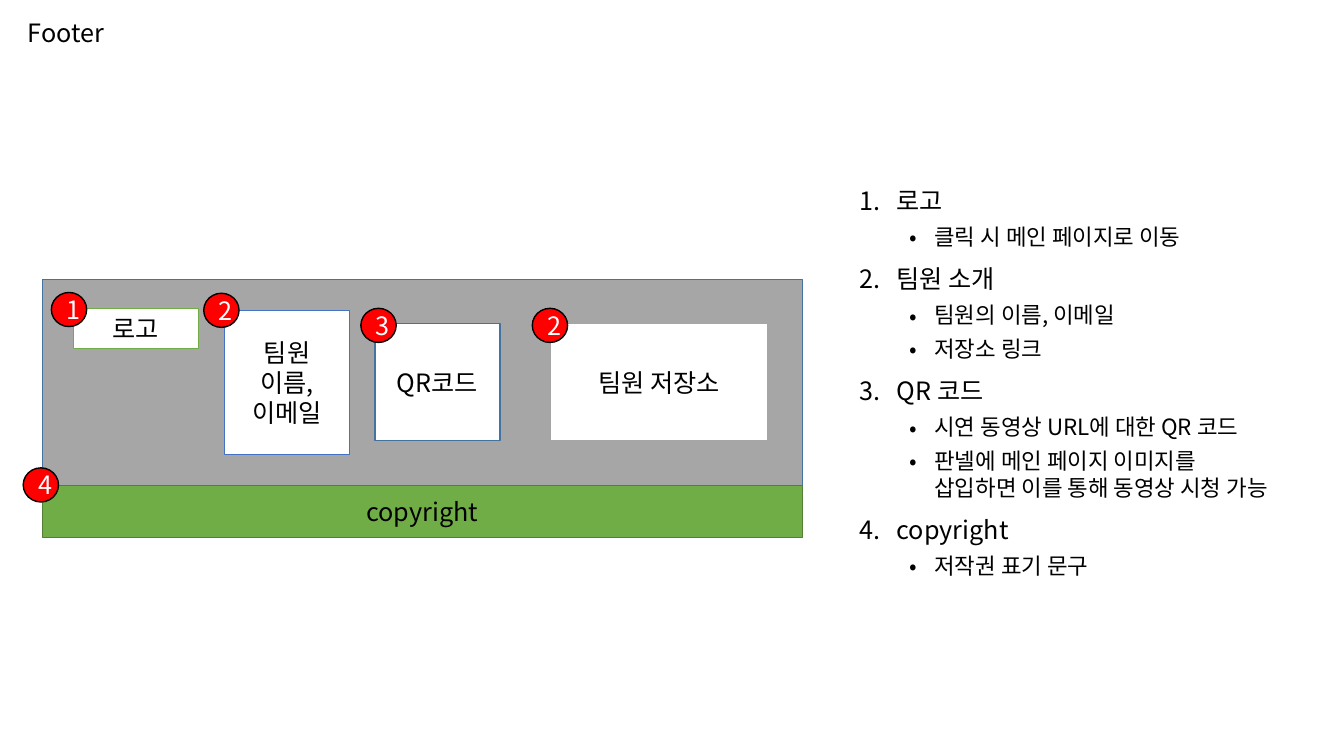
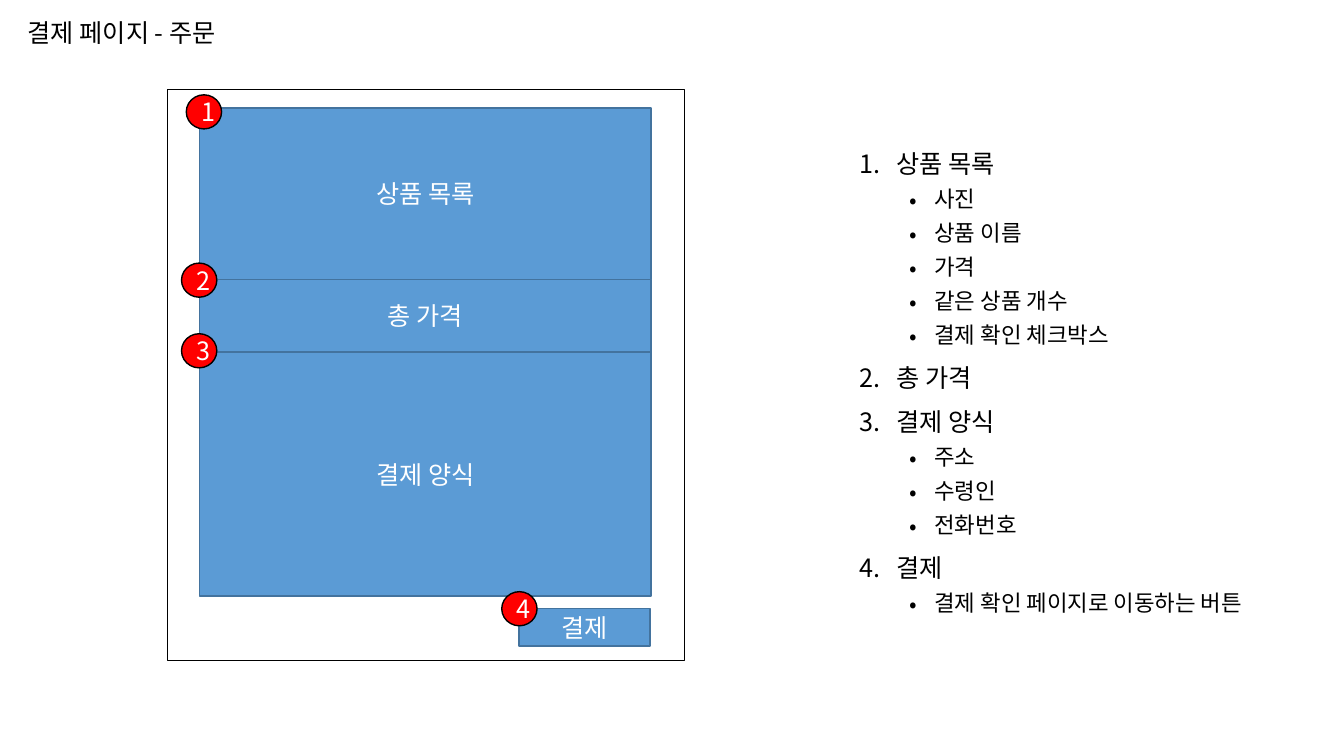
from itertools import accumulate

from lxml import etree
from pptx import Presentation
from pptx.dml.color import RGBColor
from pptx.enum.shapes import MSO_SHAPE
from pptx.enum.text import MSO_ANCHOR, PP_ALIGN
from pptx.oxml.ns import qn
from pptx.util import Cm, Pt

RECTANGLE, OVAL = MSO_SHAPE.RECTANGLE, MSO_SHAPE.OVAL
MIDDLE = MSO_ANCHOR.MIDDLE
LEFT, CENTER = PP_ALIGN.LEFT, PP_ALIGN.CENTER

FONT = "Noto Sans CJK KR"
LINE_HEIGHT = 1.2
COLORS = {
    "black": "000000", "white": "FFFFFF", "red": "FF0000",
    "gray": "A6A6A6", "gray line": "A5A5A5",
    "green": "70AD47", "green line": "538035",
    "blue": "5B9BD5", "blue line": "43739E", "bright line": "4472C4",
}

# All lengths are centimetres: left, top, width, height.
TITLE_AREA = (0.45, 0.2, 11.35, 1.22)
NOTES_AREA = (21.4, 1.3, 11.1, 16.66)
BADGE_WIDTH, BADGE_HEIGHT = 0.89, 0.86

# Note levels: size, space before, left margin, hanging indent, bullet tag, bullet attributes.
NOTE_LEVELS = (
    (18, 10, 0.95, -0.95, "a:buAutoNum", {"type": "arabicPeriod"}),
    (16, 5, 1.9, -0.64, "a:buChar", {"char": "•"}),
)

# Order page: three sections stacked without gaps.
SECTIONS = (("상품 목록", 4.32), ("총 가격", 1.83), ("결제 양식", 6.15))
SECTION_LEFT, SECTION_TOP, SECTION_WIDTH = 5.03, 2.72, 11.38
SECTION_TOPS = accumulate((height for _, height in SECTIONS), initial=SECTION_TOP)

# Blocks: text, area, fill, line, text colour. Badges: number, centre x, centre y.
PAGES = [
    {
        "title": "Footer",
        "notes": [
            ("로고", ["클릭 시 메인 페이지로 이동"]),
            ("팀원 소개", ["팀원의 이름, 이메일", "저장소 링크"]),
            ("QR 코드", ["시연 동영상 URL에 대한 QR 코드",
                       "판넬에 메인 페이지 이미지를 삽입하면 이를 통해 동영상 시청 가능"]),
            ("copyright", ["저작권 표기 문구"]),
        ],
        "blocks": [
            ("", (1.07, 7.04, 19.15, 5.21), "gray", "blue line", "black"),
            ("로고", (1.85, 7.77, 3.15, 1.02), "white", "green", "black"),
            ("팀원\n이름,\n이메일", (5.66, 7.82, 3.15, 3.63), "white", "bright line", "black"),
            ("QR코드", (9.45, 8.15, 3.15, 2.95), "white", "blue line", "black"),
            ("팀원 저장소", (13.87, 8.15, 5.49, 2.95), "white", "gray line", "black"),
            ("copyright", (1.07, 12.24, 19.15, 1.3), "green", "green line", "black"),
        ],
        "badges": [("1", 1.74, 7.8), ("2", 5.58, 7.82), ("3", 9.54, 8.2),
                   ("2", 13.86, 8.2), ("4", 1.03, 12.22)],
    },
    {
        "title": "결제 페이지 - 주문",
        "notes": [
            ("상품 목록", ["사진", "상품 이름", "가격", "같은 상품 개수", "결제 확인 체크박스"]),
            ("총 가격", []),
            ("결제 양식", ["주소", "수령인", "전화번호"]),
            ("결제", ["결제 확인 페이지로 이동하는 버튼"]),
        ],
        "blocks": [
            ("", (4.22, 2.26, 13.03, 14.38), None, "black", "black"),
            *((name, (SECTION_LEFT, top, SECTION_WIDTH, height), "blue", "blue line", "white")
              for (name, height), top in zip(SECTIONS, SECTION_TOPS)),
            ("결제", (13.08, 15.34, 3.3, 0.94), "blue", "blue line", "white"),
        ],
        "badges": [("1", 5.14, 2.82), ("2", 5.02, 7.06), ("3", 5.02, 8.84),
                   ("4", 13.09, 15.34)],
    },
]


def rgb(name):
    """Return the palette colour with this name."""
    return RGBColor.from_string(COLORS[name])


def style_paragraph(para, color, align, size=18):
    """Set the font, alignment and line height of a paragraph."""
    para.alignment = align
    para.line_spacing = Pt(size * LINE_HEIGHT)
    para.font.size = Pt(size)
    para.font.color.rgb = rgb(color)
    para.font.name = FONT
    defaults = para._p.pPr.find(qn("a:defRPr"))
    etree.SubElement(defaults, qn("a:ea"), typeface=FONT)


def write(frame, text, color, align):
    """Fill a text frame, one paragraph for each line."""
    frame.word_wrap = True
    frame.vertical_anchor = MIDDLE
    frame.text = text
    for para in frame.paragraphs:
        style_paragraph(para, color, align)


def add_block(page, kind, text, area, fill, line, color):
    """Add an outlined shape with centred text."""
    shape = page.shapes.add_shape(kind, *map(Cm, area))
    shape.shadow.inherit = False
    if fill:
        shape.fill.solid()
        shape.fill.fore_color.rgb = rgb(fill)
    else:
        shape.fill.background()
    shape.line.color.rgb = rgb(line)
    shape.line.width = Pt(1)
    if text:
        write(shape.text_frame, text, color, CENTER)


def add_badge(page, number, center_x, center_y):
    """Add a red numbered circle around a centre point."""
    area = (center_x - BADGE_WIDTH / 2, center_y - BADGE_HEIGHT / 2,
            BADGE_WIDTH, BADGE_HEIGHT)
    add_block(page, OVAL, number, area, "red", "black", "white")


def add_notes(page, notes):
    """Add the numbered notes with their bulleted details."""
    frame = page.shapes.add_textbox(*map(Cm, NOTES_AREA)).text_frame
    lines = [(level, text) for heading, details in notes
             for level, text in [(0, heading), *((1, detail) for detail in details)]]
    write(frame, "\n".join(text for _, text in lines), "black", LEFT)
    for para, (level, _) in zip(frame.paragraphs, lines):
        size, before, margin, indent, tag, attributes = NOTE_LEVELS[level]
        para.level = level
        para.font.size = Pt(size)
        para.line_spacing = Pt(size * LINE_HEIGHT)
        para.space_before = Pt(before)
        properties = para._p.pPr
        properties.set("marL", str(Cm(margin)))
        properties.set("indent", str(Cm(indent)))
        bullet_font = etree.Element(qn("a:buFont"), typeface=FONT)
        bullet = etree.Element(qn(tag), attributes)
        for element in (bullet_font, bullet):
            properties.find(qn("a:defRPr")).addprevious(element)


def add_page(deck, content):
    """Add one wireframe page with its title, notes, blocks and badges."""
    page = deck.slides.add_slide(deck.slide_layouts[6])
    title = page.shapes.add_textbox(*map(Cm, TITLE_AREA))
    write(title.text_frame, content["title"], "black", LEFT)
    add_notes(page, content["notes"])
    for block in content["blocks"]:
        add_block(page, RECTANGLE, *block)
    for badge in content["badges"]:
        add_badge(page, *badge)


deck = Presentation()
deck.slide_width, deck.slide_height = Cm(33.87), Cm(19.05)
for content in PAGES:
    add_page(deck, content)
deck.save("out.pptx")
